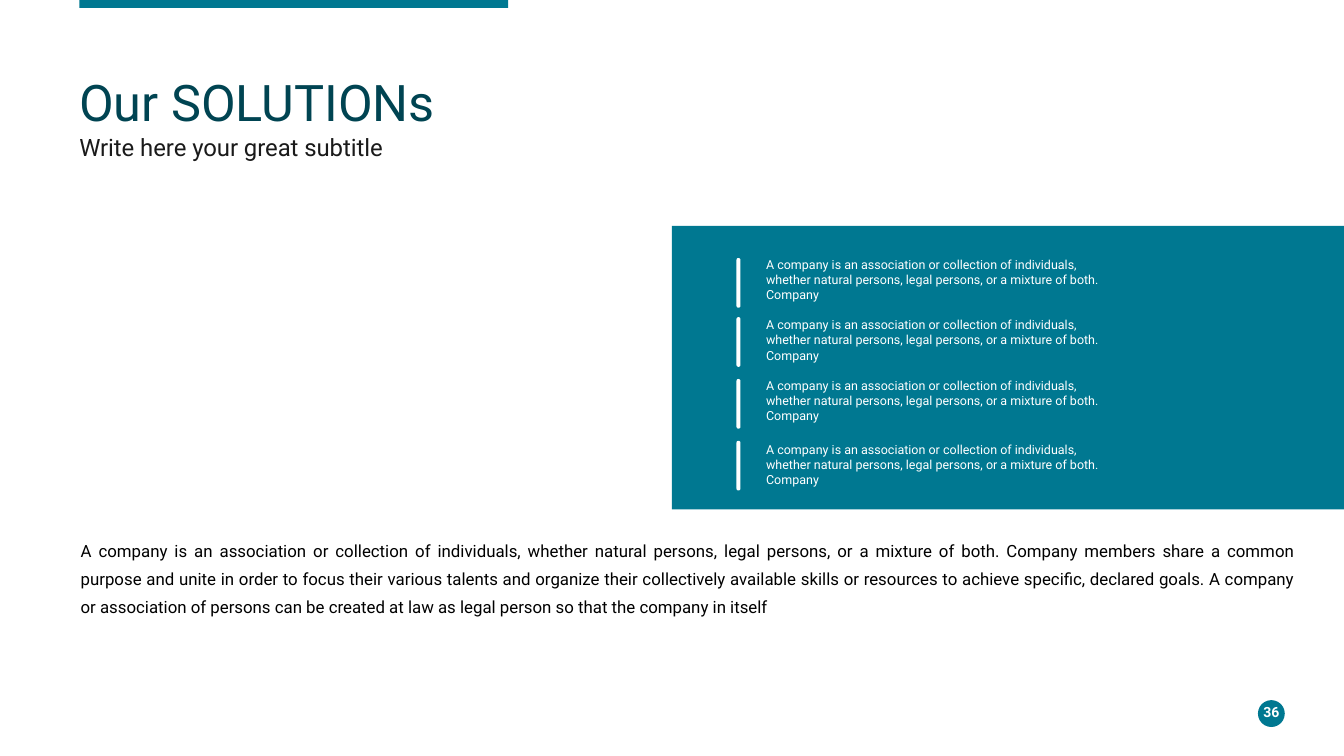
from dataclasses import dataclass

from pptx import Presentation
from pptx.dml.color import RGBColor
from pptx.enum.shapes import MSO_SHAPE
from pptx.enum.text import MSO_ANCHOR, MSO_AUTO_SIZE, PP_ALIGN
from pptx.util import Inches, Pt

RECTANGLE = MSO_SHAPE.RECTANGLE
OVAL = MSO_SHAPE.OVAL
ROUNDED_BAR = MSO_SHAPE.ROUND_2_SAME_RECTANGLE
TOP, MIDDLE = MSO_ANCHOR.TOP, MSO_ANCHOR.MIDDLE
LEFT, CENTER, JUSTIFY = PP_ALIGN.LEFT, PP_ALIGN.CENTER, PP_ALIGN.JUSTIFY
NO_AUTOFIT = MSO_AUTO_SIZE.NONE
TITLE_ONLY = 5


@dataclass(frozen=True)
class Theme:
    font: str = "Roboto"
    teal: RGBColor = RGBColor(0x00, 0x78, 0x91)
    deep_teal: RGBColor = RGBColor(0x00, 0x44, 0x52)
    charcoal: RGBColor = RGBColor(0x1A, 0x1A, 0x1A)
    black: RGBColor = RGBColor(0, 0, 0)
    white: RGBColor = RGBColor(0xFF, 0xFF, 0xFF)
    title_size: float = 27
    subtitle_size: float = 12.75
    body_size: float = 9
    number_size: float = 7.5
    solution_size: float = 6.75


THEME = Theme()

SOLUTION = ("A company is an association or collection of individuals, "
            "whether natural persons, legal persons, or a mixture of both. Company")
SUMMARY = (SOLUTION + " members share a common purpose and unite in order to focus "
           "their various talents and organize their collectively available skills "
           "or resources to achieve specific, declared goals. A company or "
           "association of persons can be created at law as legal person so that "
           "the company in itself")

# Top of each solution's text and of the bar beside it
SOLUTION_ROWS = [(1.88, 1.92), (2.33, 2.36), (2.78, 2.82), (3.26, 3.28)]


def add_block(slide, kind, left, top, width, height, color):
    block = slide.shapes.add_shape(
        kind, Inches(left), Inches(top), Inches(width), Inches(height))
    block.shadow.inherit = False
    block.fill.solid()
    block.fill.fore_color.rgb = color
    block.line.fill.background()
    return block


def write(frame, text, size, color, align=LEFT, spacing=1.0, anchor=TOP,
          bold=False, insets=(0, 0)):
    frame.word_wrap = True
    frame.auto_size = NO_AUTOFIT
    frame.vertical_anchor = anchor
    frame.margin_left = frame.margin_right = Inches(insets[0])
    frame.margin_top = frame.margin_bottom = Inches(insets[1])
    frame.text = text
    paragraph = frame.paragraphs[0]
    paragraph.alignment = align
    paragraph.line_spacing = spacing
    font = paragraph.runs[0].font
    font.name = THEME.font
    font.size = Pt(size)
    font.bold = bold
    font.color.rgb = color


def add_label(slide, left, top, width, height, text, size, color, **style):
    label = slide.shapes.add_textbox(
        Inches(left), Inches(top), Inches(width), Inches(height))
    write(label.text_frame, text, size, color, **style)


def add_heading(slide):
    title = slide.shapes.title
    title.left, title.top = Inches(0.59), Inches(0.58)
    title.width, title.height = Inches(8.72), Inches(0.43)
    write(title.text_frame, "Our SOLUTIONs", THEME.title_size,
          THEME.deep_teal, spacing=0.9)
    add_label(slide, 0.59, 1.01, 3.22, 0.16, "Write here your great subtitle",
              THEME.subtitle_size, THEME.charcoal, spacing=0.9)


def add_solution(slide, text_top, bar_top):
    add_label(slide, 5.63, text_top, 2.69, 0.41, SOLUTION,
              THEME.solution_size, THEME.white, insets=(0.07, 0.03))
    bar = add_block(slide, ROUNDED_BAR, 5.48, bar_top, 0.03, 0.37, THEME.white)
    bar.adjustments[0] = bar.adjustments[1] = 0.5


def main():
    deck = Presentation()
    # Widescreen, 16:9
    deck.slide_width = Inches(10)
    deck.slide_height = deck.slide_width * 9 // 16
    slide = deck.slides.add_slide(deck.slide_layouts[TITLE_ONLY])

    # Accent strip and heading
    add_block(slide, RECTANGLE, 0.59, 0, 3.19, 0.06, THEME.teal)
    add_heading(slide)

    # Solutions panel
    add_block(slide, RECTANGLE, 5, 1.68, 5, 2.11, THEME.teal)
    for text_top, bar_top in SOLUTION_ROWS:
        add_solution(slide, text_top, bar_top)

    # Summary paragraph
    add_label(slide, 0.6, 3.96, 9.02, 0.62, SUMMARY, THEME.body_size,
              THEME.black, align=JUSTIFY, spacing=1.4)

    # Page number badge
    add_block(slide, OVAL, 9.36, 5.21, 0.2, 0.2, THEME.teal)
    add_label(slide, 9.31, 5.22, 0.3, 0.16, "36", THEME.number_size,
              THEME.white, align=CENTER, anchor=MIDDLE, bold=True)

    deck.save("out.pptx")


if __name__ == "__main__":
    main()
